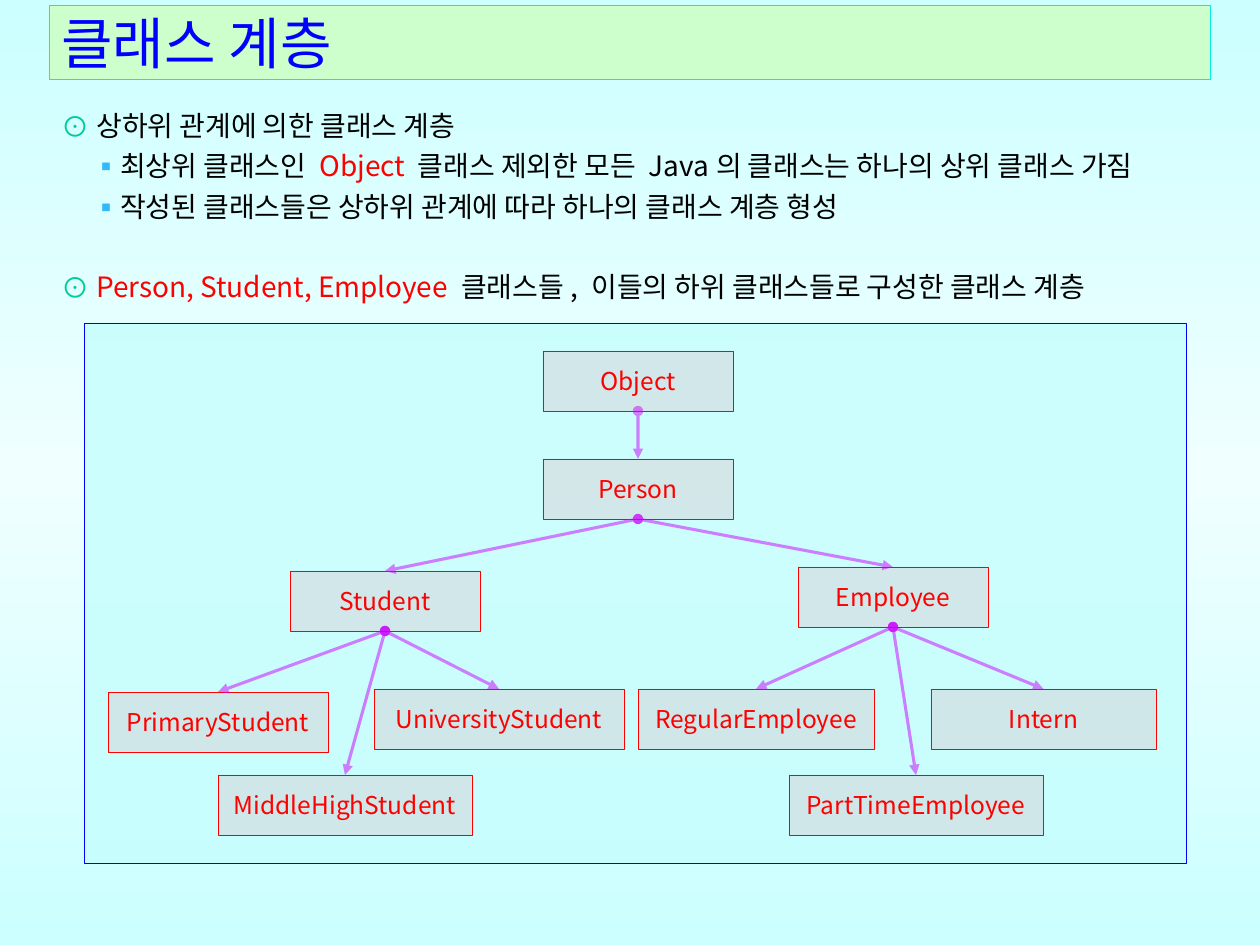
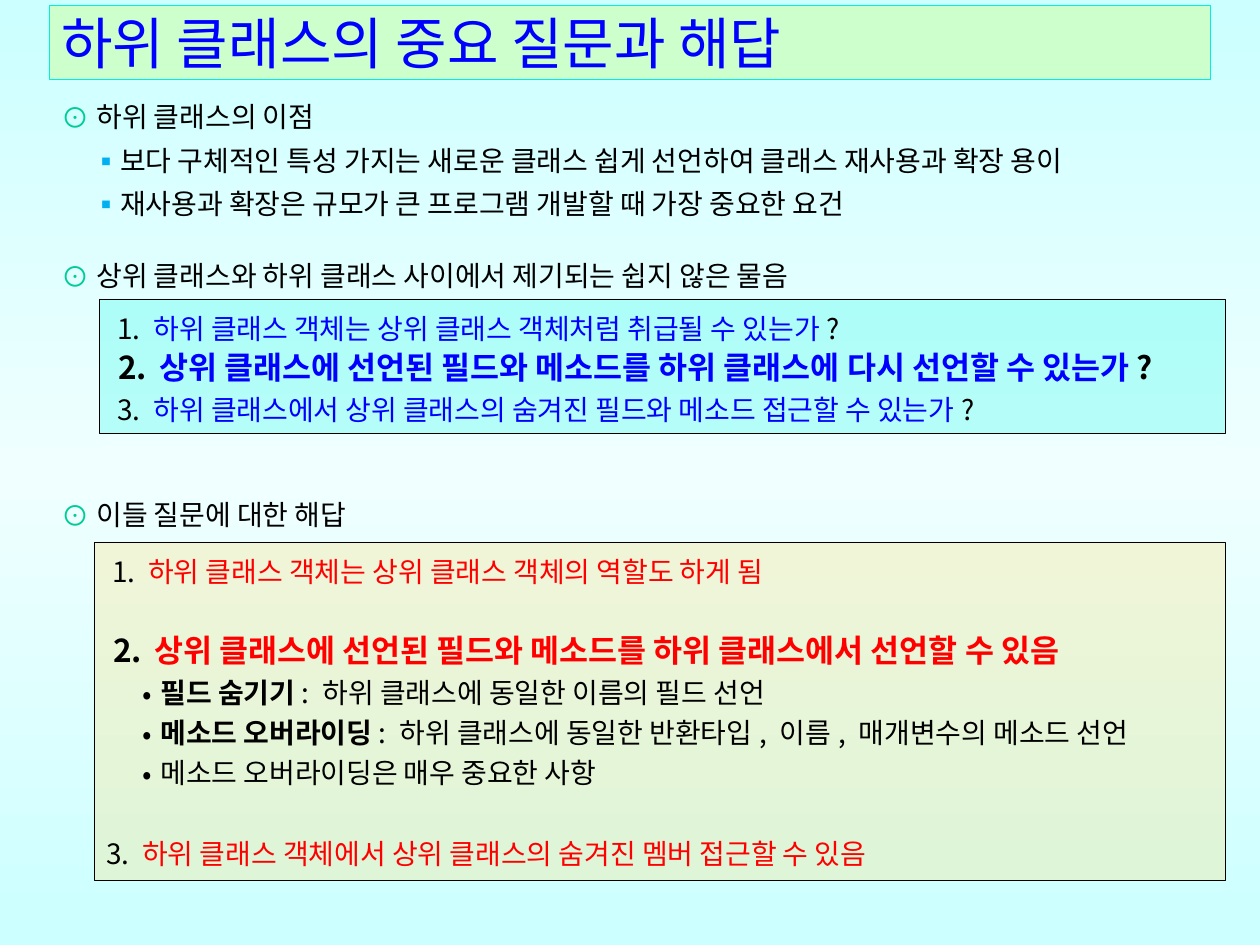
import copy

import lxml.etree
import pptx
import pptx.dml.color
import pptx.enum.shapes
import pptx.enum.text
import pptx.oxml.ns
import pptx.util

PX = 914400 / 126
FONT = "Noto Sans CJK KR"
BLACK, BLUE, RED = "000000", "0000FF", "FF0000"
RECT = pptx.enum.shapes.MSO_SHAPE.RECTANGLE
MIDDLE = pptx.enum.text.MSO_ANCHOR.MIDDLE
CENTER = pptx.enum.text.PP_ALIGN.CENTER
qn = pptx.oxml.ns.qn
SubElement = lxml.etree.SubElement


def paint(color, rgb, alpha=100):
    """Set a colour format to a hex colour with an opacity in percent."""
    color.rgb = pptx.dml.color.RGBColor.from_string(rgb)
    if alpha < 100:
        SubElement(color._xFill[0], qn("a:alpha")).set("val", str(alpha * 1000))


def write(tf, *runs, size=16, leading=None, gap=0, align=None,
          left=0, hang=0, mark=None, number=None, mark_color=BLACK):
    """Add a paragraph of (text, colour, bold) runs; left and hang are in px."""
    p = tf.paragraphs[0]
    if p.runs:
        p = tf.add_paragraph()
    if mark or number:
        pPr = p._p.get_or_add_pPr()
        pPr.set("marL", str(round(left * PX)))
        pPr.set("indent", str(round(-hang * PX)))
        clr = SubElement(pPr, qn("a:buClr"))
        SubElement(clr, qn("a:srgbClr")).set("val", mark_color)
        SubElement(pPr, qn("a:buFont")).set("typeface", FONT)
        if mark:
            SubElement(pPr, qn("a:buChar")).set("char", mark)
        else:
            bu = SubElement(pPr, qn("a:buAutoNum"))
            bu.set("type", "arabicPeriod")
            bu.set("startAt", str(number))
    if leading:
        p.line_spacing = pptx.util.Pt(leading)
    if gap:
        p.space_before = pptx.util.Pt(gap)
    p.alignment = align
    for text, color, *bold in runs:
        r = p.add_run()
        r.text = text
        r.font.size = pptx.util.Pt(size)
        r.font.bold = bool(bold)
        paint(r.font.color, color)
        r.font.name = FONT
        SubElement(r._r.get_or_add_rPr(), qn("a:ea")).set("typeface", FONT)


TOPIC = dict(mark="⊙", mark_color="00CC99", left=35, hang=35)
POINT = dict(mark="▪", left=59, hang=28)
ITEM = dict(left=42, hang=36)
KEY_ITEM = dict(left=48, hang=41, size=18)
DOT = dict(mark="•", left=54, hang=18)
SKY, LIGHT_SKY = dict(mark_color="00B0F0"), dict(mark_color="32B9FC")

# Each frame: box in px, fill, opacity, line colour, rows of (runs, format)
hierarchy_frame = ((84, 323, 1102, 540), "C6FEFD", 85, BLUE, [])
question_frame = ((99, 299, 1126, 134), "33FBE8", 30, BLACK, [
    ([("하위 클래스 객체는 상위 클래스 객체처럼 취급될 수 있는가", BLUE), ("?", BLACK)],
     ITEM | dict(number=1)),
    ([("상위 클래스에 선언된 필드와 메소드를 하위 클래스에 다시 선언할 수 있는가", BLUE, True),
      ("?", BLACK, True)], KEY_ITEM | dict(number=2)),
    ([("하위 클래스에서 상위 클래스의 숨겨진 필드와 메소드 접근할 수 있는가", BLUE), ("?", BLACK)],
     ITEM | dict(number=3)),
])
answer_frame = ((94, 542, 1131, 338), "FFE181", 30, BLACK, [
    ([("하위 클래스 객체는 상위 클래스 객체의 역할도 하게 됨", RED)], ITEM | dict(number=1)),
    ([("상위 클래스에 선언된 필드와 메소드를 하위 클래스에서 선언할 수 있음", RED, True)],
     KEY_ITEM | dict(number=2, gap=23)),
    ([("필드 숨기기", BLACK, True), (": 하위 클래스에 동일한 이름의 필드 선언", BLACK)], DOT),
    ([("메소드 오버라이딩", BLACK, True),
      (": 하위 클래스에 동일한 반환타입, 이름, 매개변수의 메소드 선언", BLACK)], DOT),
    ([("메소드 오버라이딩은 매우 중요한 사항", BLACK)], DOT),
    ([("하위 클래스 객체에서 상위 클래스의 숨겨진 멤버 접근할 수 있음", RED)],
     dict(left=36, hang=36, number=3, gap=23)),
])

# Each slide: title, outline top and height in px, leading in pt, outline rows, frames
pages = [
    ("클래스 계층", 96, 212, 23, [
        ([("상하위 관계에 의한 클래스 계층", BLACK)], TOPIC),
        ([("최상위 클래스인 ", BLACK), ("Object ", RED),
          ("클래스 제외한 모든 Java의 클래스는 하나의 상위 클래스 가짐", BLACK)], POINT | LIGHT_SKY),
        ([("작성된 클래스들은 상하위 관계에 따라 하나의 클래스 계층 형성", BLACK)], POINT | LIGHT_SKY),
        ([("Person, Student, Employee ", RED),
          ("클래스들, 이들의 하위 클래스들로 구성한 클래스 계층", BLACK)], TOPIC | dict(gap=23)),
    ], [hierarchy_frame]),
    ("하위 클래스의 중요 질문과 해답", 84, 500, 24.8, [
        ([("하위 클래스의 이점", BLACK)], TOPIC),
        ([("보다 구체적인 특성 가지는 새로운 클래스 쉽게 선언하여 클래스 재사용과 확장 용이", BLACK)],
         POINT | SKY),
        ([("재사용과 확장은 규모가 큰 프로그램 개발할 때 가장 중요한 요건", BLACK)], POINT | SKY),
        ([("상위 클래스와 하위 클래스 사이에서 제기되는 쉽지 않은 물음", BLACK)], TOPIC | dict(gap=16)),
        ([("이들 질문에 대한 해답", BLACK)], TOPIC | dict(gap=112)),
    ], [question_frame, answer_frame]),
]

prs = pptx.Presentation()
prs.slide_width, prs.slide_height = round(1260 * PX), round(945 * PX)

fill = prs.slide_master.background.fill
fill.gradient()
fill.gradient_angle = 270
first = fill.gradient_stops[0]._gs
first.addnext(copy.deepcopy(first))
for stop, (position, rgb) in zip(fill.gradient_stops,
                                 [(0, "CCFFFF"), (0.5, "F0FFFF"), (1, "CCFFFF")]):
    stop.position = position
    paint(stop.color, rgb)

for title, top, height, leading, outline, frames in pages:
    s = prs.slides.add_slide(prs.slide_layouts[6])
    title_band = ((49, 5, 1161, 74), "CCFFCC", 100, "03EDE2",
                  [([(title, BLUE)], dict(size=32, leading=None))])
    for box, rgb, alpha, line, rows in [title_band, *frames]:
        sp = s.shapes.add_shape(RECT, *(round(v * PX) for v in box))
        sp.shadow.inherit = False
        sp.fill.solid()
        paint(sp.fill.fore_color, rgb, alpha)
        paint(sp.line.color, line)
        sp.line.width = pptx.util.Pt(0.25)
        sp.text_frame.vertical_anchor = (
            MIDDLE if rows is title_band[-1] else pptx.enum.text.MSO_ANCHOR.TOP)
        for runs, style in rows:
            write(sp.text_frame, *runs,
                  **dict(leading=23, align=pptx.enum.text.PP_ALIGN.LEFT) | style)
    sp = s.shapes.add_textbox(*(round(v * PX) for v in (49, top, 1161, height)))
    sp.text_frame.word_wrap = True
    for runs, style in outline:
        write(sp.text_frame, *runs, leading=leading, **style)

# Class boxes: left, top, width in px and the parent class
classes = {
    "Object": (543, 351, 190, None),
    "Person": (543, 459, 190, "Object"),
    "Student": (290, 571, 190, "Person"),
    "Employee": (798, 567, 190, "Person"),
    "PrimaryStudent": (108, 692, 220, "Student"),
    "MiddleHighStudent": (218, 775, 254, "Student"),
    "UniversityStudent": (374, 689, 250, "Student"),
    "RegularEmployee": (638, 689, 236, "Employee"),
    "PartTimeEmployee": (789, 775, 254, "Employee"),
    "Intern": (931, 689, 225, "Employee"),
}
s = prs.slides[0]
nodes = {}
for name, (left, top, width, parent) in classes.items():
    sp = s.shapes.add_shape(RECT, *(round(v * PX) for v in (left, top, width, 60)))
    sp.shadow.inherit = False
    sp.fill.solid()
    paint(sp.fill.fore_color, "FC647A", 15)
    paint(sp.line.color, RED)
    sp.line.width = pptx.util.Pt(0.25)
    sp.text_frame.vertical_anchor = MIDDLE
    write(sp.text_frame, (name, RED), size=14, align=CENTER)
    nodes[name] = sp

for name, (*_, parent) in classes.items():
    if parent is None:
        continue
    cx = s.shapes.add_connector(pptx.enum.shapes.MSO_CONNECTOR.STRAIGHT, 0, 0, 0, 0)
    cx.begin_connect(nodes[parent], 2)
    cx.end_connect(nodes[name], 0)
    paint(cx.line.color, "CC00FF", 50)
    cx.line.width = pptx.util.Pt(1.75)
    ln = cx.line._get_or_add_ln()
    SubElement(ln, qn("a:headEnd")).set("type", "oval")
    SubElement(ln, qn("a:tailEnd")).set("type", "triangle")
    SubElement(cx._element.spPr, qn("a:effectLst"))

prs.save("out.pptx")
